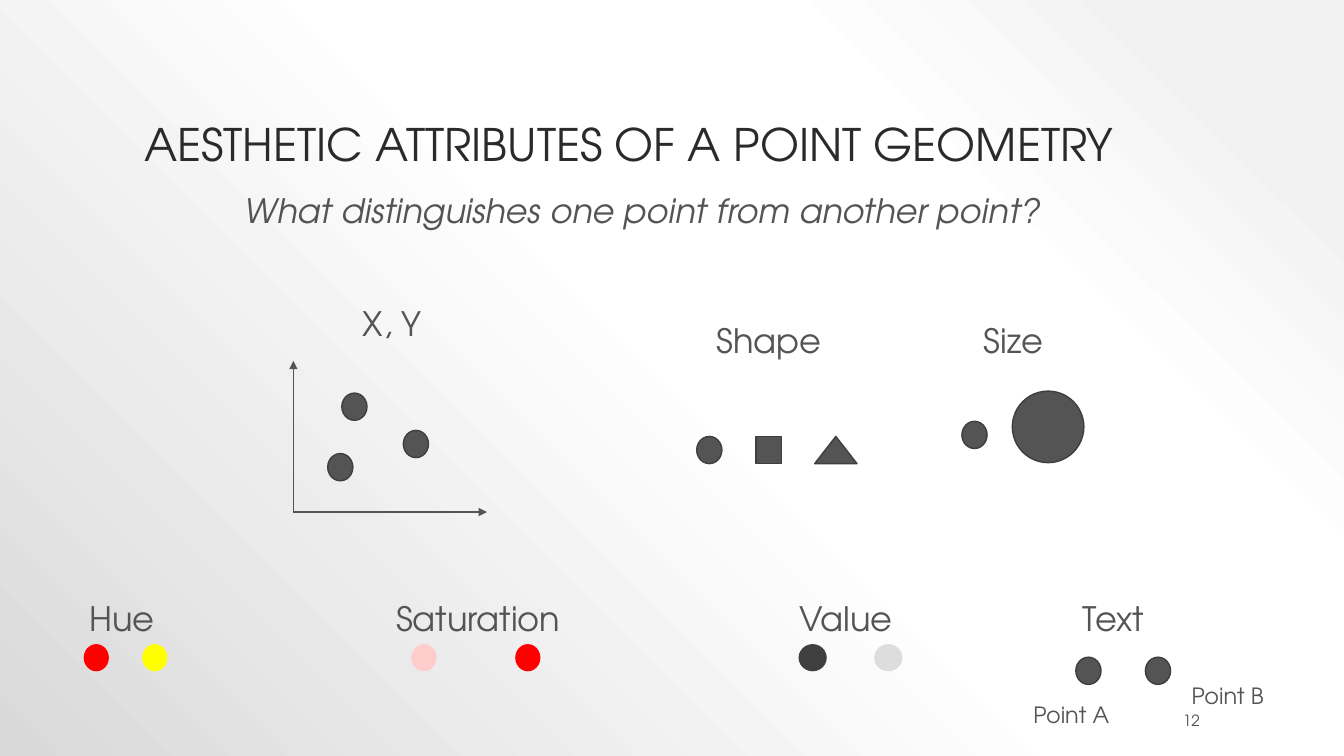
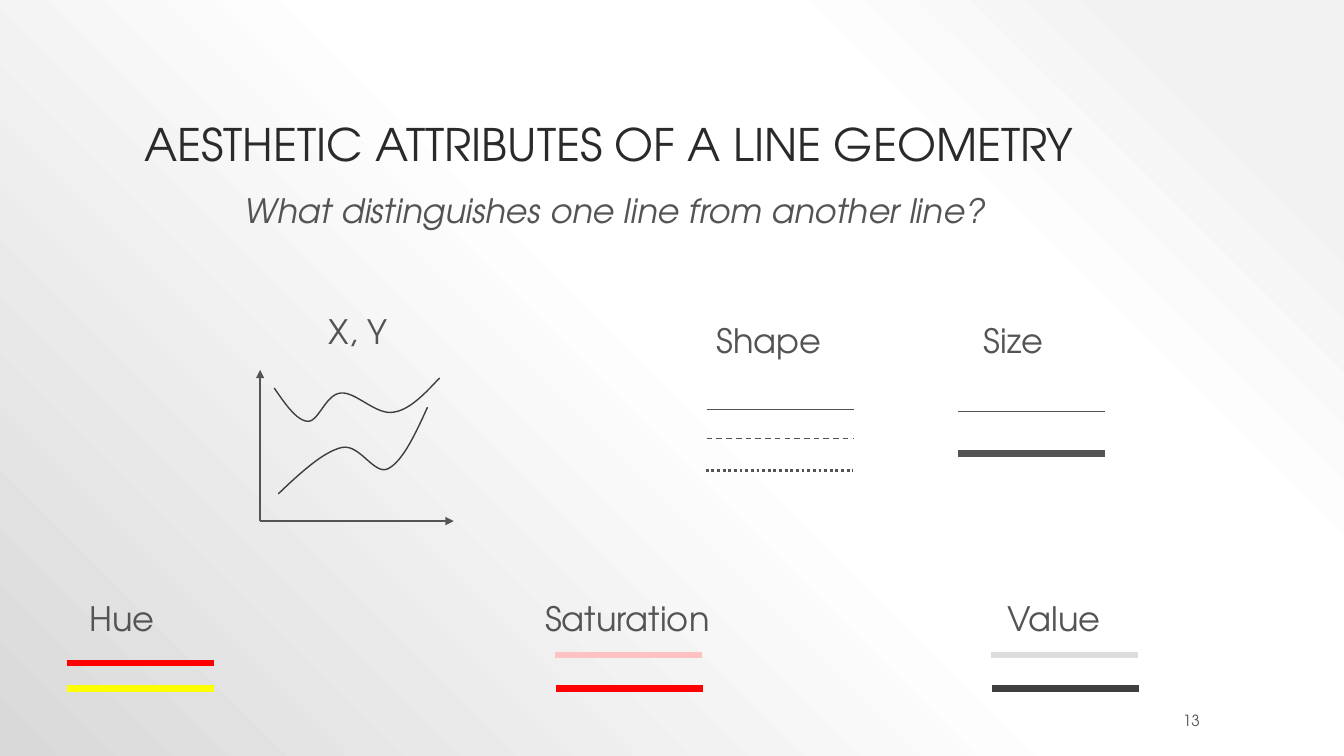
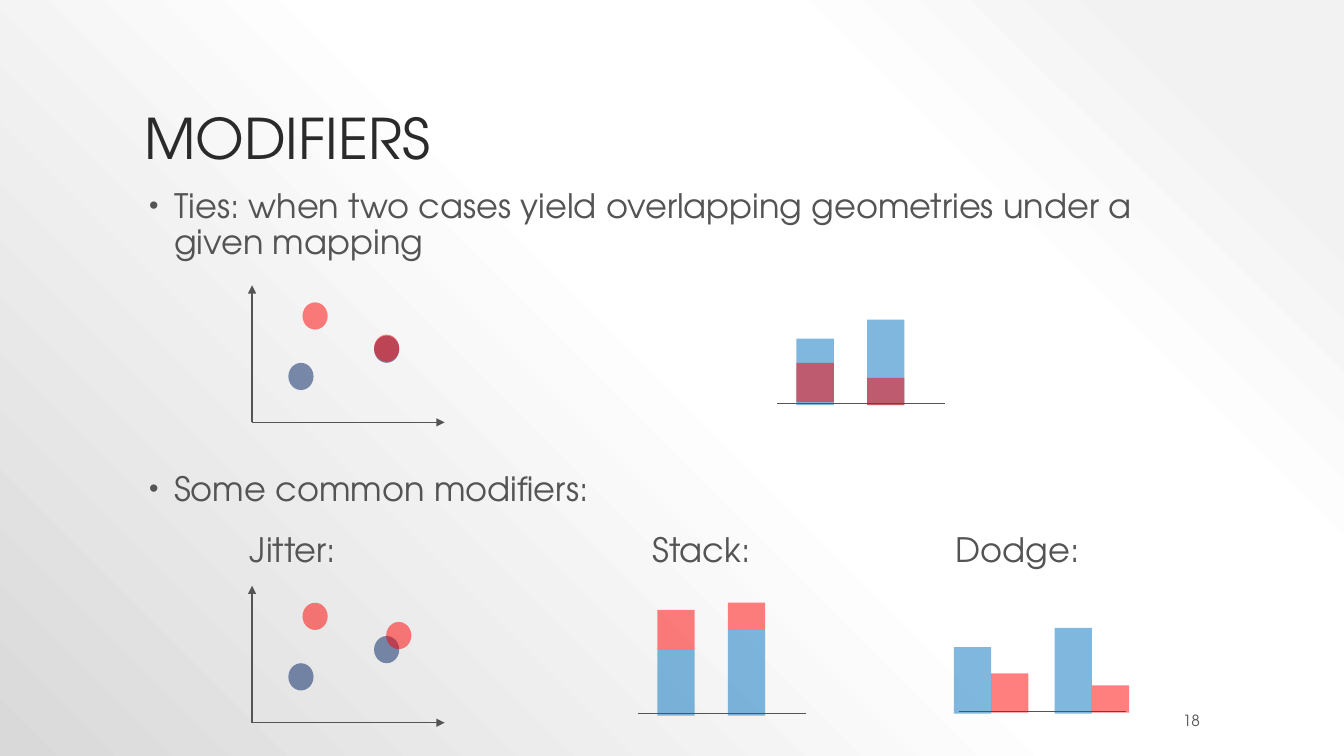
from dataclasses import dataclass
from typing import Any, Optional, Union

from lxml.etree import SubElement
from pptx import Presentation
from pptx.dml.color import RGBColor
from pptx.enum.dml import MSO_LINE
from pptx.enum.shapes import MSO_CONNECTOR, MSO_SHAPE
from pptx.enum.text import MSO_ANCHOR, MSO_AUTO_SIZE, PP_ALIGN
from pptx.oxml import parse_xml
from pptx.oxml.ns import nsdecls, qn
from pptx.util import Inches, Pt

FONT = "TeX Gyre Adventor"
INK = RGBColor(0x2A, 0x2A, 0x2A)
GRAY = RGBColor(0x54, 0x54, 0x54)
EDGE = RGBColor(0x3E, 0x3E, 0x3E)
DARK = RGBColor(0x3F, 0x3F, 0x3F)
PALE = RGBColor(0xDD, 0xDD, 0xDD)
RED = RGBColor(0xFF, 0x00, 0x00)
YELLOW = RGBColor(0xFF, 0xFF, 0x00)
PINK = RGBColor(0xFF, 0xCC, 0xCC)
ROSE = RGBColor(0xFF, 0xC1, 0xC1)
BLUE = RGBColor(0x00, 0x70, 0xC0)
NAVY = RGBColor(0x00, 0x20, 0x60)
BACKDROP = ((10, "F2F2F2"), (28, "FFFFFF"), (48, "FFFFFF"), (100, "D9D9D9"))

Point = tuple[float, float]


@dataclass(frozen=True)
class Mark:
    x: float
    y: float
    fill: RGBColor = GRAY
    w: float = 0.25
    h: float = 0.27
    kind: MSO_SHAPE = MSO_SHAPE.OVAL
    edge: Optional[RGBColor] = None
    alpha: int = 100


@dataclass(frozen=True)
class Stroke:
    x1: float
    y1: float
    x2: float
    y2: float
    color: RGBColor = GRAY
    width: float = 1
    dash: Optional[MSO_LINE] = None
    arrow: bool = False


@dataclass(frozen=True)
class Label:
    text: str
    x: float
    y: float
    w: float
    size: int = 24
    italic: bool = False
    h: float = 0.46


@dataclass(frozen=True)
class Curve:
    points: tuple[Point, ...]


Item = Union[Mark, Stroke, Label, Curve]


def apply(obj: Any, values: dict[str, Any]) -> None:
    for name, value in values.items():
        setattr(obj, name, value)


def write(p: Any, text: str, size: int, color: RGBColor = GRAY, italic: bool = False) -> None:
    r = p.add_run()
    r.text = text
    apply(r.font, {"name": FONT, "size": Pt(size), "italic": italic})
    r.font.color.rgb = color


def add_box(s: Any, x: float, y: float, w: float, h: float, values: dict[str, Any]) -> Any:
    tf = s.shapes.add_textbox(Inches(x), Inches(y), Inches(w), Inches(h)).text_frame
    apply(tf, values)
    return tf


def draw_mark(s: Any, m: Mark) -> None:
    sp = s.shapes.add_shape(m.kind, Inches(m.x), Inches(m.y), Inches(m.w), Inches(m.h))
    sp.shadow.inherit = False
    sp.fill.solid()
    sp.fill.fore_color.rgb = m.fill
    if m.alpha < 100:
        clr = sp.element.spPr.find(qn("a:solidFill")).find(qn("a:srgbClr"))
        SubElement(clr, qn("a:alpha"), val=str(m.alpha * 1000))
    if m.edge is None:
        sp.line.fill.background()
    else:
        sp.line.color.rgb = m.edge
        sp.line.width = Pt(1)


def draw_stroke(s: Any, k: Stroke) -> None:
    cx = s.shapes.add_connector(
        MSO_CONNECTOR.STRAIGHT, Inches(k.x1), Inches(k.y1), Inches(k.x2), Inches(k.y2)
    )
    cx.line.color.rgb = k.color
    apply(cx.line, {"width": Pt(k.width), "dash_style": k.dash})
    spPr = cx.element.spPr
    if k.arrow:
        SubElement(spPr.find(qn("a:ln")), qn("a:tailEnd"), type="triangle")
    SubElement(spPr, qn("a:effectLst"))


def draw_label(s: Any, b: Label) -> None:
    tf = add_box(s, b.x, b.y, b.w, b.h, {
        "word_wrap": False, "auto_size": MSO_AUTO_SIZE.SHAPE_TO_FIT_TEXT,
    })
    p = tf.paragraphs[0]
    p.line_spacing = 0.9
    write(p, b.text, b.size, italic=b.italic)


def bezier(a: Point, b: Point, c: Point, d: Point, steps: int = 16) -> list[Point]:
    def at(i: int, t: float) -> float:
        u = 1 - t
        return u**3 * a[i] + 3 * u * u * t * b[i] + 3 * u * t * t * c[i] + t**3 * d[i]
    return [(at(0, n / steps), at(1, n / steps)) for n in range(1, steps + 1)]


def draw_curve(s: Any, c: Curve) -> None:
    pts = c.points
    fb = s.shapes.build_freeform(Inches(pts[0][0]), Inches(pts[0][1]))
    for i in range(0, len(pts) - 1, 3):
        segment = bezier(*pts[i:i + 4])
        fb.add_line_segments([(Inches(x), Inches(y)) for x, y in segment], close=False)
    sp = fb.convert_to_shape()
    sp.shadow.inherit = False
    sp.fill.background()
    sp.line.color.rgb = EDGE
    sp.line.width = Pt(1)


DRAW = {Mark: draw_mark, Stroke: draw_stroke, Label: draw_label, Curve: draw_curve}


def draw(s: Any, items: list[Item]) -> None:
    for item in items:
        DRAW[type(item)](s, item)


def axes(x: float, y: float, w: float, h: float) -> list[Item]:
    return [Stroke(x, y, x + w, y, arrow=True), Stroke(x, y, x, y - h, arrow=True)]


def point(x: float, y: float, **changes: Any) -> Mark:
    return Mark(x, y, edge=EDGE, **changes)


def rule(x: float, y: float, color: RGBColor = GRAY, width: float = 4.5,
         dash: Optional[MSO_LINE] = None) -> Stroke:
    return Stroke(x, y, x + 1.46, y, color, width, dash)


def scatter(base: float, tie: Point) -> list[Item]:
    dots = ((2.86, base - 0.59, NAVY), (3, base - 1.19, RED), (3.71, base - 0.86, NAVY), (*tie, RED))
    return axes(2.5, base, 1.91, 1.36) + [Mark(*d, alpha=50) for d in dots]


def columns(feet: tuple[Point, Point], heights: tuple[float, float], fill: RGBColor) -> list[Item]:
    return [
        Mark(x, foot - h, fill, 0.37, h, MSO_SHAPE.RECTANGLE, alpha=50)
        for (x, foot), h in zip(feet, heights)
    ]


def bars(blue: tuple[Point, Point], red: tuple[Point, Point], axis: Point) -> list[Item]:
    x, y = axis
    return [
        *columns(blue, (0.66, 0.85), BLUE),
        Stroke(x, y, x + 1.66, y),
        *columns(red, (0.39, 0.27), RED),
    ]


def set_backdrop(prs: Any) -> None:
    master = prs.slide_master
    master.background.fill.gradient()
    old = master.element.xpath("p:cSld/p:bg/p:bgPr/a:gradFill")[0]
    stops = "".join(
        f'<a:gs pos="{pos * 1000}"><a:srgbClr val="{color}"/></a:gs>' for pos, color in BACKDROP
    )
    old.getparent().replace(old, parse_xml(
        f'<a:gradFill {nsdecls("a")} rotWithShape="1"><a:gsLst>{stops}</a:gsLst>'
        '<a:path path="circle"><a:fillToRect l="100000" b="100000"/></a:path></a:gradFill>'
    ))


def add_slide(prs: Any, title: str, number: int, size: int = 32) -> Any:
    s = prs.slides.add_slide(prs.slide_layouts[5])
    sp = s.shapes.title
    apply(sp, {"left": Inches(1.33), "top": Inches(0.3),
               "width": Inches(10.67), "height": Inches(1.45)})
    tf = sp.text_frame
    apply(tf, {"vertical_anchor": MSO_ANCHOR.BOTTOM, "auto_size": MSO_AUTO_SIZE.NONE,
               "word_wrap": True})
    p = tf.paragraphs[0]
    apply(p, {"alignment": PP_ALIGN.LEFT, "line_spacing": 0.9})
    write(p, title, size, INK)
    tf = add_box(s, 10.75, 7.05, 1.25, 0.2, {
        "word_wrap": True, "vertical_anchor": MSO_ANCHOR.MIDDLE,
    })
    tf.paragraphs[0].alignment = PP_ALIGN.RIGHT
    write(tf.paragraphs[0], str(number), 11)
    return s


def add_bullet(p: Any, text: str, before: float) -> None:
    apply(p, {"line_spacing": 0.9, "space_before": Pt(before)})
    write(p, text, 24)
    pPr = p._p.get_or_add_pPr()
    pPr.set("marL", str(Inches(0.3)))
    pPr.set("indent", str(Inches(-0.25)))
    SubElement(SubElement(pPr, qn("a:buClr")), qn("a:srgbClr"), val=str(GRAY))
    SubElement(pPr, qn("a:buSzPct"), val="80000")
    SubElement(pPr, qn("a:buFont"), typeface="Arial")
    SubElement(pPr, qn("a:buChar"), char="•")


def point_slide(prs: Any) -> None:
    s = add_slide(prs, "AESTHETIC ATTRIBUTES OF A POINT GEOMETRY", 12)
    draw(s, [
        Label("What distinguishes one point from another point?", 2.33, 1.88, 8.19, italic=True),
        Label("X, Y", 3.5, 3, 0.79),
        *axes(2.91, 5.08, 1.92, 1.5),
        point(3.25, 4.5), point(3.39, 3.9), point(4, 4.27),
        Label("Shape", 7.01, 3.17, 1.25),
        point(6.91, 4.33),
        point(7.5, 4.33, kind=MSO_SHAPE.RECTANGLE),
        point(8.08, 4.33, w=0.42, kind=MSO_SHAPE.ISOSCELES_TRIANGLE),
        Label("Size", 9.66, 3.17, 0.8),
        point(9.54, 4.18), point(10.04, 3.88, w=0.71, h=0.71),
        Label("Hue", 0.79, 5.93, 0.86),
        Mark(0.83, 6.39, RED), Mark(1.41, 6.39, YELLOW),
        Label("Saturation", 3.83, 5.93, 1.86),
        Mark(4.08, 6.39, PINK), Mark(5.11, 6.39, RED),
        Label("Value", 7.83, 5.93, 1.16),
        Mark(7.92, 6.39, DARK, 0.28), Mark(8.67, 6.39, PALE, 0.28),
        Label("Text", 10.64, 5.93, 0.84),
        point(10.67, 6.52), point(11.36, 6.52),
        Label("Point A", 10.15, 6.94, 0.97, 16, h=0.34),
        Label("Point B", 11.72, 6.75, 0.97, 16, h=0.34),
    ])


def line_slide(prs: Any) -> None:
    s = add_slide(prs, "AESTHETIC ATTRIBUTES OF A LINE GEOMETRY", 13)
    draw(s, [
        Label("What distinguishes one line from another line?", 2.33, 1.88, 7.63, italic=True),
        Label("X, Y", 3.16, 3.08, 0.79),
        *axes(2.58, 5.17, 1.92, 1.5),
        Curve(((2.76, 4.9), (2.98, 4.69), (3.21, 4.48), (3.39, 4.44), (3.57, 4.4),
               (3.71, 4.72), (3.85, 4.65), (3.99, 4.58), (4.12, 4.31), (4.24, 4.04))),
        Curve(((2.72, 3.85), (2.83, 4.01), (2.94, 4.17), (3.05, 4.18), (3.16, 4.19),
               (3.23, 3.91), (3.38, 3.9), (3.52, 3.88), (3.73, 4.12), (3.9, 4.09),
               (4.06, 4.07), (4.21, 3.91), (4.36, 3.75))),
        Label("Shape", 7.01, 3.17, 1.25),
        rule(7.01, 4.06, width=1),
        rule(7.01, 4.35, width=1, dash=MSO_LINE.DASH),
        rule(7, 4.67, width=2, dash=MSO_LINE.ROUND_DOT),
        Label("Size", 9.66, 3.17, 0.8),
        rule(9.5, 4.08, width=1), rule(9.5, 4.5),
        Label("Hue", 0.79, 5.93, 0.86),
        rule(0.66, 6.58, RED), rule(0.66, 6.83, YELLOW),
        Label("Saturation", 5.31, 5.93, 1.86),
        rule(5.5, 6.5, ROSE), rule(5.51, 6.83, RED),
        Label("Value", 9.89, 5.93, 1.16),
        rule(9.83, 6.5, PALE), rule(9.84, 6.83, DARK),
    ])


def modifier_slide(prs: Any) -> None:
    s = add_slide(prs, "MODIFIERS", 18, 40)
    tf = add_box(s, 1.33, 1.83, 10.67, 4.92, {"word_wrap": True})
    add_bullet(tf.paragraphs[0],
               "Ties: when two cases yield overlapping geometries under a given mapping", 18)
    add_bullet(tf.add_paragraph(), "Some common modifiers:", 150)
    draw(s, [
        *scatter(4.19, (3.71, 3.32)),
        *bars(((7.9, 4.02), (8.6, 4.02)), ((7.9, 3.99), (8.6, 4.02)), (7.71, 4)),
        Label("Jitter:", 2.38, 5.24, 1.1),
        *scatter(7.17, (3.83, 6.17)),
        Label("Stack:", 6.37, 5.24, 1.24),
        *bars(((6.52, 7.1), (7.22, 7.1)), ((6.52, 6.44), (7.22, 6.25)), (6.33, 7.08)),
        Label("Dodge:", 9.38, 5.24, 1.48),
        *bars(((9.46, 7.08), (10.46, 7.08)), ((9.83, 7.07), (10.83, 7.07)), (9.51, 7.06)),
    ])


def main() -> None:
    prs = Presentation()
    apply(prs, {"slide_width": Inches(13.33), "slide_height": Inches(7.5)})
    set_backdrop(prs)
    for build in (point_slide, line_slide, modifier_slide):
        build(prs)
    prs.save("out.pptx")


if __name__ == "__main__":
    main()
